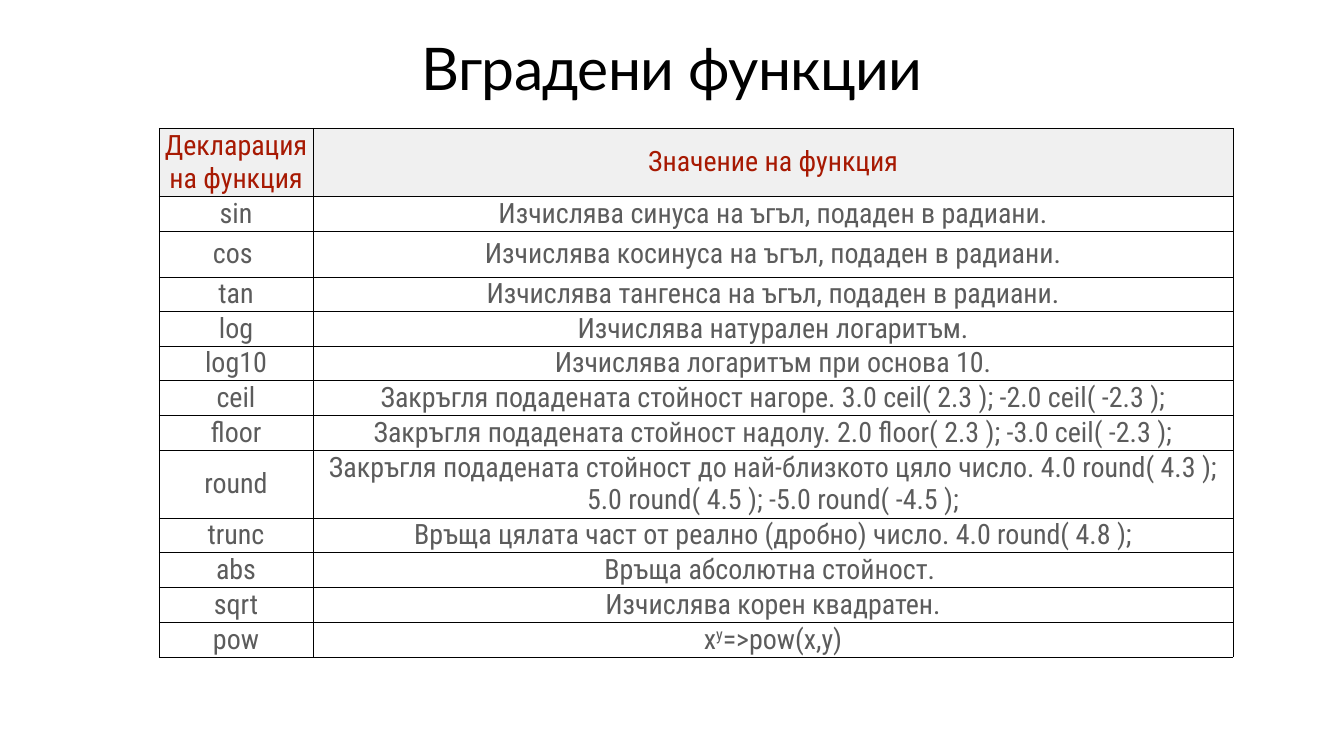
import pptx
import pptx.dml.color
import pptx.enum.text
import pptx.oxml
import pptx.oxml.ns
import pptx.util

EMU_PER_PX = 914400 / 50.4

HEADER = ("Декларация на функция", "Значение на функция")
# Function name, meaning, row height in px
FUNCTIONS = [
    ("sin", "Изчислява синуса на ъгъл, подаден в радиани.", 34),
    ("cos ", "Изчислява косинуса на ъгъл, подаден в радиани.", 46),
    ("tan", "Изчислява тангенса на ъгъл, подаден в радиани.", 34),
    ("log", "Изчислява натурален логаритъм.", 34),
    ("log10", "Изчислява логаритъм при основа 10.", 34),
    ("ceil", "Закръгля подадената стойност нагоре. 3.0 ceil( 2.3 ); -2.0 ceil( -2.3 );", 34),
    ("floor", "Закръгля подадената стойност надолу. 2.0 floor( 2.3 ); -3.0 ceil( -2.3 );", 34),
    ("round", "Закръгля подадената стойност до най-близкото цяло число. "
              "4.0 round( 4.3 ); 5.0 round( 4.5 ); -5.0 round( -4.5 );", 67),
    ("trunc", "Връща цялата част от реално (дробно) число. 4.0 round( 4.8 );", 34),
    ("abs", "Връща абсолютна стойност. ", 35),
    ("sqrt", "Изчислява корен квадратен.", 34),
    ("pow", ("x", "y", "=>pow(x,y)"), 35),
]
HEADER_HEIGHT = 67
COLUMN_WIDTHS = (154, 920)


def px(length):
    return pptx.util.Emu(round(length * EMU_PER_PX))


def color(value):
    return pptx.dml.color.RGBColor.from_string(value)


def set_margins(frame, margin):
    frame.margin_left = frame.margin_right = margin
    frame.margin_top = frame.margin_bottom = margin


def format_paragraph(paragraph, font_name, size, font_color, line_spacing):
    paragraph.alignment = pptx.enum.text.PP_ALIGN.CENTER
    paragraph.line_spacing = line_spacing
    for run in paragraph.runs:
        run.font.name = font_name
        run.font.size = pptx.util.Pt(size)
        run.font.color.rgb = color(font_color)


def add_title(slide, text):
    title = slide.shapes.add_textbox(px(67), px(42), px(1210), px(95))
    text_frame = title.text_frame
    text_frame.word_wrap = True
    text_frame.vertical_anchor = pptx.enum.text.MSO_ANCHOR.TOP
    set_margins(text_frame, px(3))
    text_frame.text = text
    paragraph = text_frame.paragraphs[0]
    format_paragraph(paragraph, "Lato", 84, "000000", 0.8)
    paragraph.runs[0].font._element.set("spc", "-84")


def add_borders(cell):
    properties = cell._tc.get_or_add_tcPr()
    for index, side in enumerate(("lnL", "lnR", "lnT", "lnB")):
        line = pptx.oxml.parse_xml(
            f'<a:{side} {pptx.oxml.ns.nsdecls("a")} w="9525">'
            '<a:solidFill><a:srgbClr val="000000"/></a:solidFill>'
            f'</a:{side}>')
        properties.insert(index, line)


def fill_cell(cell, content, font_color, background):
    cell.fill.solid()
    cell.fill.fore_color.rgb = color(background)
    cell.vertical_anchor = pptx.enum.text.MSO_ANCHOR.MIDDLE
    set_margins(cell, pptx.util.Inches(0.01))
    add_borders(cell)
    paragraph = cell.text_frame.paragraphs[0]
    if isinstance(content, str):
        paragraph.text = content
    else:
        # Base, superscript exponent, rest
        for part in content:
            paragraph.add_run().text = part
        paragraph.runs[1].font._element.set("baseline", "30000")
    format_paragraph(paragraph, "Roboto Condensed", 40, font_color, 1.0)


def add_function_table(slide):
    heights = [HEADER_HEIGHT] + [height for _, _, height in FUNCTIONS]
    table = slide.shapes.add_table(
        len(heights), len(COLUMN_WIDTHS), px(159), px(128),
        px(sum(COLUMN_WIDTHS)), px(sum(heights))).table
    for column, width in zip(table.columns, COLUMN_WIDTHS):
        column.width = px(width)
    for row, height in zip(table.rows, heights):
        row.height = px(height)

    # Header row, then one row for each function
    rows = [HEADER] + [(name, meaning) for name, meaning, _ in FUNCTIONS]
    for row_index, contents in enumerate(rows):
        colors = ("5C5C5C", "FFFFFF") if row_index else ("A71902", "F0F0F0")
        for column_index, content in enumerate(contents):
            fill_cell(table.cell(row_index, column_index), content, *colors)


def main():
    presentation = pptx.Presentation()
    presentation.slide_width = px(1344)
    presentation.slide_height = px(756)
    slide = presentation.slides.add_slide(presentation.slide_layouts[6])
    add_title(slide, "Вградени функции")
    add_function_table(slide)
    presentation.save("out.pptx")


if __name__ == "__main__":
    main()
